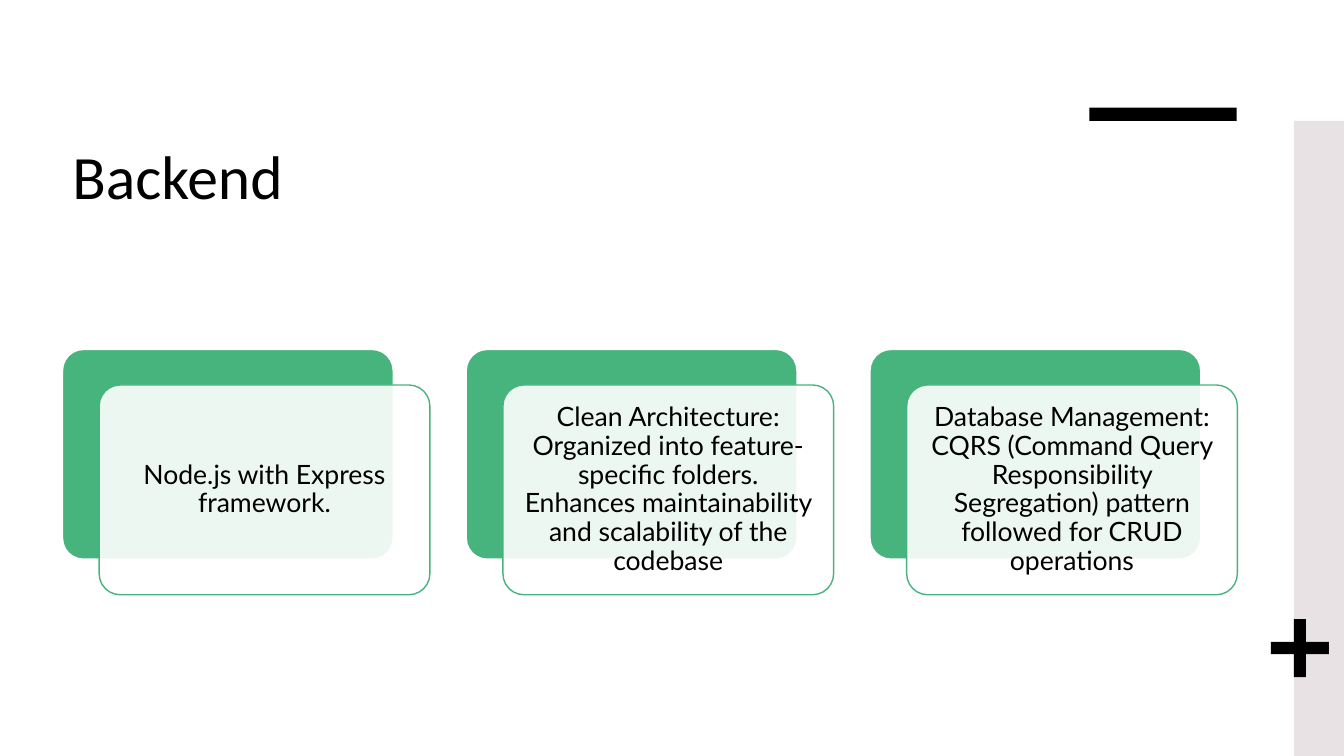
from dataclasses import dataclass

from lxml import etree
from pptx import Presentation
from pptx import util as u
from pptx.dml.color import RGBColor
from pptx.enum import shapes, text
from pptx.oxml import ns

BLACK = RGBColor(0x00, 0x00, 0x00)
WHITE = RGBColor(0xFF, 0xFF, 0xFF)
GREEN = RGBColor(0x47, 0xB4, 0x7D)
MAUVE = RGBColor(0xE8, 0xE2, 0xE5)

CARD_LEFT, CARD_TOP = 44.64, 249.6
CARD_WIDTH, CARD_HEIGHT = 236.2, 149.8
CARD_PITCH = 288.4
FRONT_DX, FRONT_DY = 26.2, 25.4


@dataclass(frozen=True)
class Block:
    left: float
    top: float
    width: float
    height: float
    fill: RGBColor
    preset: shapes.MSO_SHAPE = shapes.MSO_SHAPE.RECTANGLE
    adjustment: float | None = None
    line: RGBColor | None = None
    opacity: int = 100


def draw_block(slide, block: Block):
    """Draw one preset shape with a solid fill."""
    shape = slide.shapes.add_shape(
        block.preset, u.Pt(block.left), u.Pt(block.top),
        u.Pt(block.width), u.Pt(block.height))
    shape.shadow.inherit = False
    if block.adjustment is not None:
        shape.adjustments[0] = block.adjustment
    shape.fill.solid()
    shape.fill.fore_color.rgb = block.fill
    if block.opacity < 100:
        colour = shape.fill._xPr.find(ns.qn("a:solidFill"))[0]
        alpha = etree.SubElement(colour, ns.qn("a:alpha"))
        alpha.set("val", str(block.opacity * 1000))
    if block.line is None:
        shape.line.fill.background()
    else:
        shape.line.color.rgb = block.line
        shape.line.width = u.Pt(1)
    return shape


def write(shape, words: str, *, font: str, size: float,
          align=text.PP_ALIGN.LEFT, anchor=text.MSO_ANCHOR.TOP,
          spacing: float = 1.0, inset_x: float = 7.2,
          inset_y: float = 3.6) -> None:
    """Fill a shape with one paragraph of black text."""
    frame = shape.text_frame
    frame.word_wrap = True
    frame.vertical_anchor = anchor
    frame.margin_left = frame.margin_right = u.Pt(inset_x)
    frame.margin_top = frame.margin_bottom = u.Pt(inset_y)
    paragraph = frame.paragraphs[0]
    paragraph.alignment = align
    paragraph.line_spacing = spacing
    run = paragraph.add_run()
    run.text = words
    run.font.name = font
    run.font.size = u.Pt(size)
    run.font.color.rgb = BLACK


def draw_card(slide, index: int, words: str) -> None:
    """Draw a green card with a translucent text card in front of it."""
    left = CARD_LEFT + index * CARD_PITCH
    rounded = shapes.MSO_SHAPE.ROUNDED_RECTANGLE
    draw_block(slide, Block(left, CARD_TOP, CARD_WIDTH, CARD_HEIGHT, GREEN,
                            rounded, 0.1, WHITE))
    front = draw_block(slide, Block(
        left + FRONT_DX, CARD_TOP + FRONT_DY, CARD_WIDTH, CARD_HEIGHT, WHITE,
        rounded, 0.1, GREEN, 90))
    write(front, words, font="Lato", size=19, align=text.PP_ALIGN.CENTER,
          anchor=text.MSO_ANCHOR.MIDDLE, spacing=0.9,
          inset_x=10.1, inset_y=10.1)


DECORATIONS = (
    Block(924.2, 86.4, 35.8, 453.6, MAUVE),
    Block(778.2, 76.8, 105.2, 9.6, BLACK),
    Block(907.8, 442.2, 41.4, 41.4, BLACK, shapes.MSO_SHAPE.CROSS, 0.395),
)

TOPICS = (
    "Node.js with Express framework.",
    "Clean Architecture: Organized into feature-specific folders. "
    "Enhances maintainability and scalability of the codebase",
    "Database Management: CQRS (Command Query Responsibility Segregation) "
    "pattern followed for CRUD operations",
)


def main() -> None:
    deck = Presentation()
    deck.slide_width, deck.slide_height = u.Pt(960), u.Pt(540)
    slide = deck.slides.add_slide(deck.slide_layouts[6])

    # Title
    title = slide.shapes.add_textbox(
        u.Pt(44.64), u.Pt(95), u.Pt(651), u.Pt(113.8))
    write(title, "Backend", font="Calibri", size=44)

    # Side band, bar and plus sign
    for decoration in DECORATIONS:
        draw_block(slide, decoration)

    # Backend topics
    for index, topic in enumerate(TOPICS):
        draw_card(slide, index, topic)

    deck.save("out.pptx")


if __name__ == "__main__":
    main()
